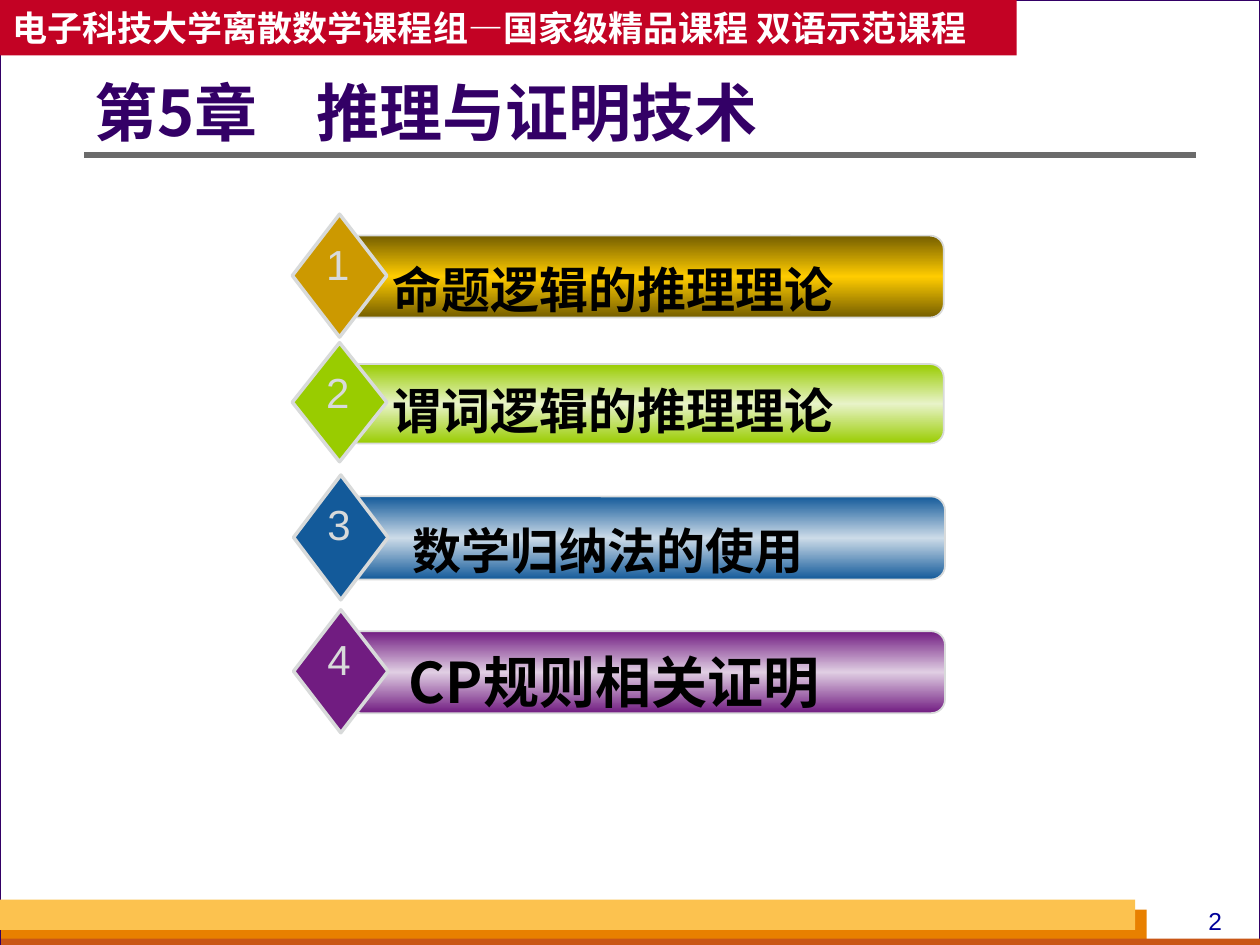
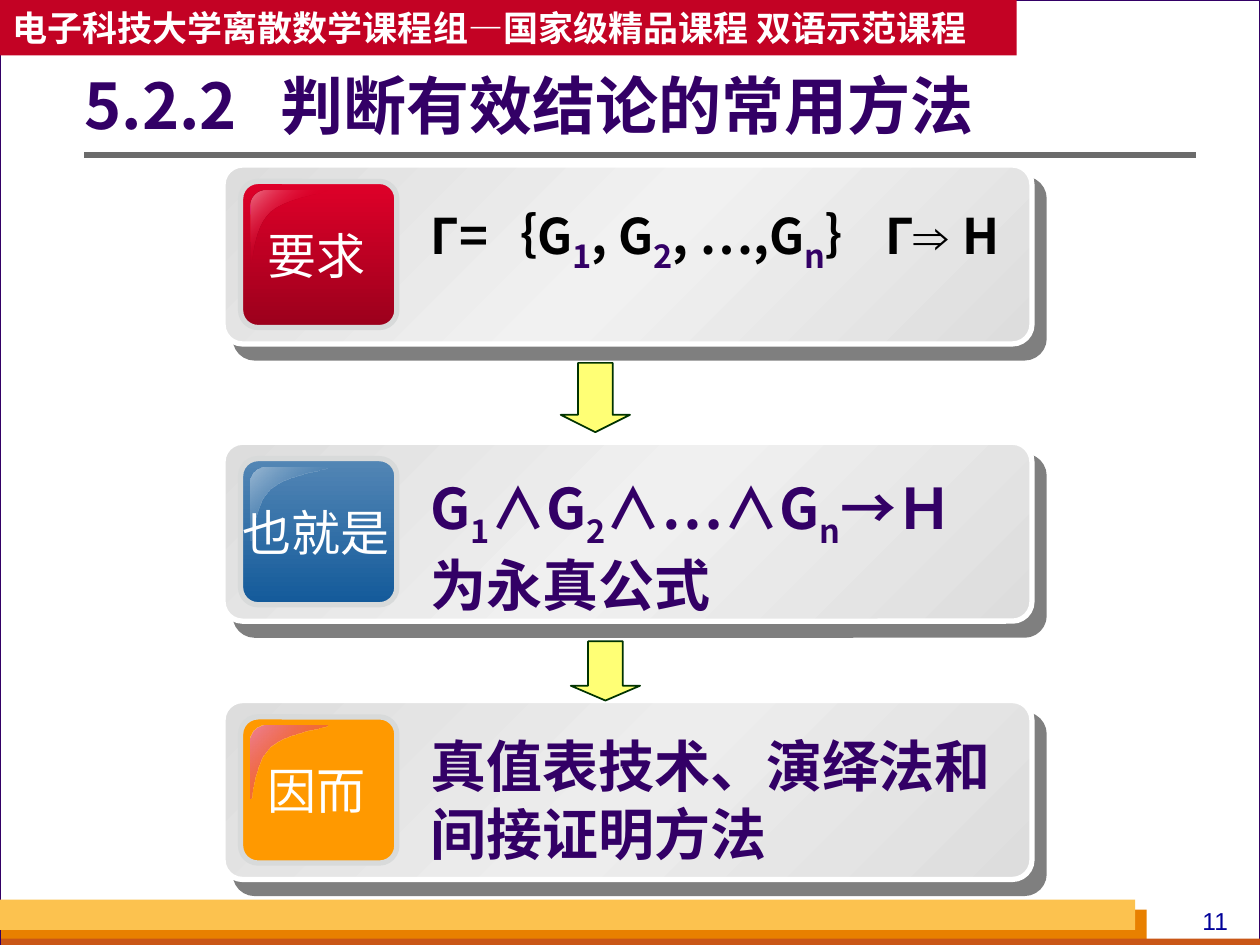
"""Build two course slides: the chapter outline and the method cards."""
from lxml import etree
from pptx import Presentation
from pptx.dml.color import RGBColor
from pptx.enum.shapes import MSO_CONNECTOR, MSO_SHAPE
from pptx.enum.text import MSO_ANCHOR, MSO_AUTO_SIZE, PP_ALIGN
from pptx.oxml.ns import qn
from pptx.util import Inches, Pt

RECT, ROUND = MSO_SHAPE.RECTANGLE, MSO_SHAPE.ROUNDED_RECTANGLE
DIAMOND, DOWN = MSO_SHAPE.DIAMOND, MSO_SHAPE.DOWN_ARROW
LEFT, CENTER = PP_ALIGN.LEFT, PP_ALIGN.CENTER
TOP, MIDDLE = MSO_ANCHOR.TOP, MSO_ANCHOR.MIDDLE
STRAIGHT, FIXED = MSO_CONNECTOR.STRAIGHT, MSO_AUTO_SIZE.NONE
HAN, LATIN = "Noto Sans CJK SC", "Arial"
INK, BLACK, WHITE, GRAY = "330066", "000000", "FFFFFF", "D8DADA"
WIDE, HIGH = 10, 7.5


def draw(page, kind, box, fill=None, line=None, width=1, angle=90,
         alpha=100, adj=None, shade=False):
    """Add a preset, a point outline or (kind None) a text box, in inches."""
    place = [Inches(n) for n in box]
    if kind is None:
        return page.shapes.add_textbox(*place)
    if isinstance(kind, list):
        pen = page.shapes.build_freeform(*kind[0], scale=914.4)
        pen.add_line_segments(kind[1:], close=True)
        shape = pen.convert_to_shape(*place[:2])
    else:
        shape = page.shapes.add_shape(kind, *place)
    if adj:
        shape.adjustments[0] = adj
    props = shape._element.spPr
    if isinstance(fill, list):
        shape.fill.gradient()
        shape.fill.gradient_angle = 360 - angle
        stops = props.find(".//" + qn("a:gsLst"))
        for old in list(stops):
            stops.remove(old)
        for spot, tint, clear in fill:
            stop = etree.SubElement(stops, qn("a:gs"), pos=str(spot * 1000))
            paint = etree.SubElement(stop, qn("a:srgbClr"), val=tint)
            etree.SubElement(paint, qn("a:alpha"), val=str(clear * 1000))
    else:
        shape.fill.solid()
        shape.fill.fore_color.rgb = RGBColor.from_string(fill)
        if alpha < 100:
            paint = props.find(".//" + qn("a:srgbClr"))
            etree.SubElement(paint, qn("a:alpha"), val=str(alpha * 1000))
    if line:
        shape.line.color.rgb = RGBColor.from_string(line)
        shape.line.width = Pt(width)
    else:
        shape.line.fill.background()
    shape.shadow.inherit = False
    if shade:
        cast = etree.SubElement(
            props.find(qn("a:effectLst")), qn("a:outerShdw"), blurRad="0",
            dist=str(Pt(10.6)), dir=str(49 * 60000), algn="ctr", rotWithShape="0")
        paint = etree.SubElement(cast, qn("a:srgbClr"), val=BLACK)
        etree.SubElement(paint, qn("a:alpha"), val="50000")
    return shape


def write(shape, text, size=28, color=INK, face=HAN, bold=True, sub=False,
          align=LEFT, anchor=TOP, wrap=True, fresh=False):
    """Add a run of text to the last paragraph, or to a fresh one."""
    frame = shape.text_frame
    frame.word_wrap, frame.vertical_anchor = wrap, anchor
    para = frame.add_paragraph() if fresh else frame.paragraphs[-1]
    para.alignment = align
    run = para.add_run()
    run.text = text
    font = run.font
    font.size, font.bold, font.name = Pt(size), bold, face
    font.color.rgb = RGBColor.from_string(color)
    props = run._r.get_or_add_rPr()
    etree.SubElement(props, qn("a:ea"), typeface=face)
    if sub:
        props.set("baseline", "-25000")


deck = Presentation()
deck.slide_width, deck.slide_height = Inches(WIDE), Inches(HIGH)

heads = [("第5章\t推理与证明技术", "2", (0.75, 0.53, 8.68, 0.78), 1.76),
         ("5.2.2\t判断有效结论的常用方法", "11", (0.67, 0.36, 8.82, 1.01), 1.56)]
bands = [((0.01, 7.22, 9.09, 0.28), "E88000"),
         ((0.01, 7.45, WIDE, 0.08), "C95616"),
         ((0, 7.14, 9.01, 0.24), "FCC24F")]
pages = []
for name, number, box, stop in heads:
    page = deck.slides.add_slide(deck.slide_layouts[5])
    pages.append(page)
    draw(page, RECT, (0, 0, WIDE, HIGH), WHITE, INK, 0.75)
    for place, tint in bands:
        draw(page, RECT, place, tint)
    label = draw(page, None, (9.33, 7.14, 0.63, 0.34))
    write(label, number, 14, "000099", LATIN, False, align=CENTER)
    rule = page.shapes.add_connector(
        STRAIGHT, *[Inches(n) for n in (0.67, 1.23, 9.49, 1.23)])
    rule.line.color.rgb = RGBColor.from_string("6B6B6B")
    rule.line.width = Pt(3)
    etree.SubElement(rule._element.spPr, qn("a:effectLst"))
    banner = draw(page, RECT, (0, 0, 8.07, 0.44), "C30224")
    write(banner, "电子科技大学离散数学课程组—国家级精品课程 双语示范课程",
          20, WHITE, anchor=MIDDLE)

    title = page.shapes.title
    title.left, title.top, title.width, title.height = [Inches(n) for n in box]
    title.text_frame.margin_left = 0
    title.text_frame.auto_size = FIXED
    write(title, name, 36, anchor=MIDDLE)
    para = title.text_frame.paragraphs[0]
    para.line_spacing = 0.9
    tabs = etree.SubElement(para._p.get_or_add_pPr(), qn("a:tabLst"))
    etree.SubElement(tabs, qn("a:tab"), pos=str(Inches(stop)), algn="l")
    page.shapes._spTree.append(title._element)

outline, method = pages

topics = [("命题逻辑的推理理论", 28, 2.74, 1.87, 0.65, 0.25, 0.14,
           "755E00", "FFCC00", "CC9900"),
          ("谓词逻辑的推理理论", 28, 2.74, 2.89, 0.63, 0.25, 0.08,
           "99CC00", "E8F3C8", "99CC00"),
          ("数学归纳法的使用", 28, 2.75, 3.94, 0.66, 0.2, 0.14,
           "135A9A", "CCDBE8", "135A9A"),
          ("CP规则相关证明", 32, 2.75, 5.01, 0.65, 0.25, 0.08,
           "711C81", "E0CEE3", "711C81")]
for count, topic in enumerate(topics, 1):
    text, size, x, y, tall, shift, drop, edge, glow, gem = topic
    blend = [(0, edge, 100), (50, glow, 100), (100, edge, 100)]
    draw(outline, ROUND, (x, y, 4.75, tall), blend, GRAY, adj=0.167)
    draw(outline, DIAMOND, (x - 0.42, y - 0.17, 0.75, tall * 1.5), gem, GRAY, 2)
    label = draw(outline, None, (x + shift, y + drop, 3.75, 0.6))
    write(label, text, size, BLACK, align=CENTER)
    label = draw(outline, None, (x - 0.25, y - 0.03, 0.38, 0.5))
    write(label, str(count), 24, GRAY, LATIN, False, align=CENTER, wrap=False)

curves = [((120, 0), (50, 0), (0, 60), (0, 120)),
          ((0, 580), (30, 590), (10, 310), (160, 170)),
          ((160, 170), (320, 40), (610, 30), (610, 0))]
gloss = []
for a, b, c, d in curves:
    for step in range(13):
        t = step / 12
        s = 1 - t
        gloss.append(tuple(s**3 * i + 3 * s * s * t * j + 3 * s * t * t * k + t**3 * m
                           for i, j, k, m in zip(a, b, c, d)))

cards = [("要求", 1.31, 0.22, 28, BLACK, "F1F1F1",
          [(0, "DF0029", 100), (100, "9B001C", 100)],
          [(0, "EC7389", 100), (50, "DF0029", 0), (100, "EC7389", 100)],
          [["Г=｛G", "1", ", G", "2", ", …,G", "n", "｝ Г", "⇒ ", "H"]]),
         ("也就是", 3.51, 0.2, 32, INK, "F0F0F0",
          [(0, "5386B5", 100), (100, "135A9A", 100)],
          [(0, "135A9A", 0), (100, "9AB8D3", 100)],
          [["G", "1", "∧G", "2", "∧…∧G", "n", "→Ｈ"], ["为永真公式"]]),
         ("因而", 5.56, 0.2, 32, INK, "EDEDED", "FF9900",
          [(0, "DF0029", 0), (100, "EE8296", 100)],
          [["真值表技术、演绎法和间接证明方法"]])]
for tag, y, drop, size, color, glow, tile, shine, lines in cards:
    blend = [(0, "DDDDDD", 100), (50, glow, 100), (100, "DDDDDD", 100)]
    draw(method, ROUND, (1.77, y, 6.42, 1.42), blend, WHITE, 3, 225,
         adj=0.109, shade=True)
    draw(method, ROUND, (1.91, y + 0.13, 1.24, 1.16), tile, GRAY, 3, adj=0.119)
    draw(method, gloss, (1.99, y + 0.2), shine, angle=225)
    label = draw(method, None, (1.71, y + 0.43, 1.6, 0.57))
    write(label, tag, 28, WHITE, LATIN, False, align=CENTER, wrap=False)
    body = draw(method, None, (3.32, y + drop, 4.72, 1.2))
    for row, parts in enumerate(lines):
        for spot, part in enumerate(parts):
            sub = part in ("1", "2", "n")
            write(body, part, 32 if sub else size, INK if sub else color,
                  LATIN if "⇒" in part else HAN, sub=sub,
                  fresh=row > 0 and spot == 0)

for x, y, tall in [(4.45, 2.88, 0.55), (4.53, 5.09, 0.47)]:
    arrow = draw(method, DOWN, (x, y, 0.55, tall), "FFFF66", "003300", alpha=90)
    arrow.adjustments[1] = 0.25

deck.save("out.pptx")
